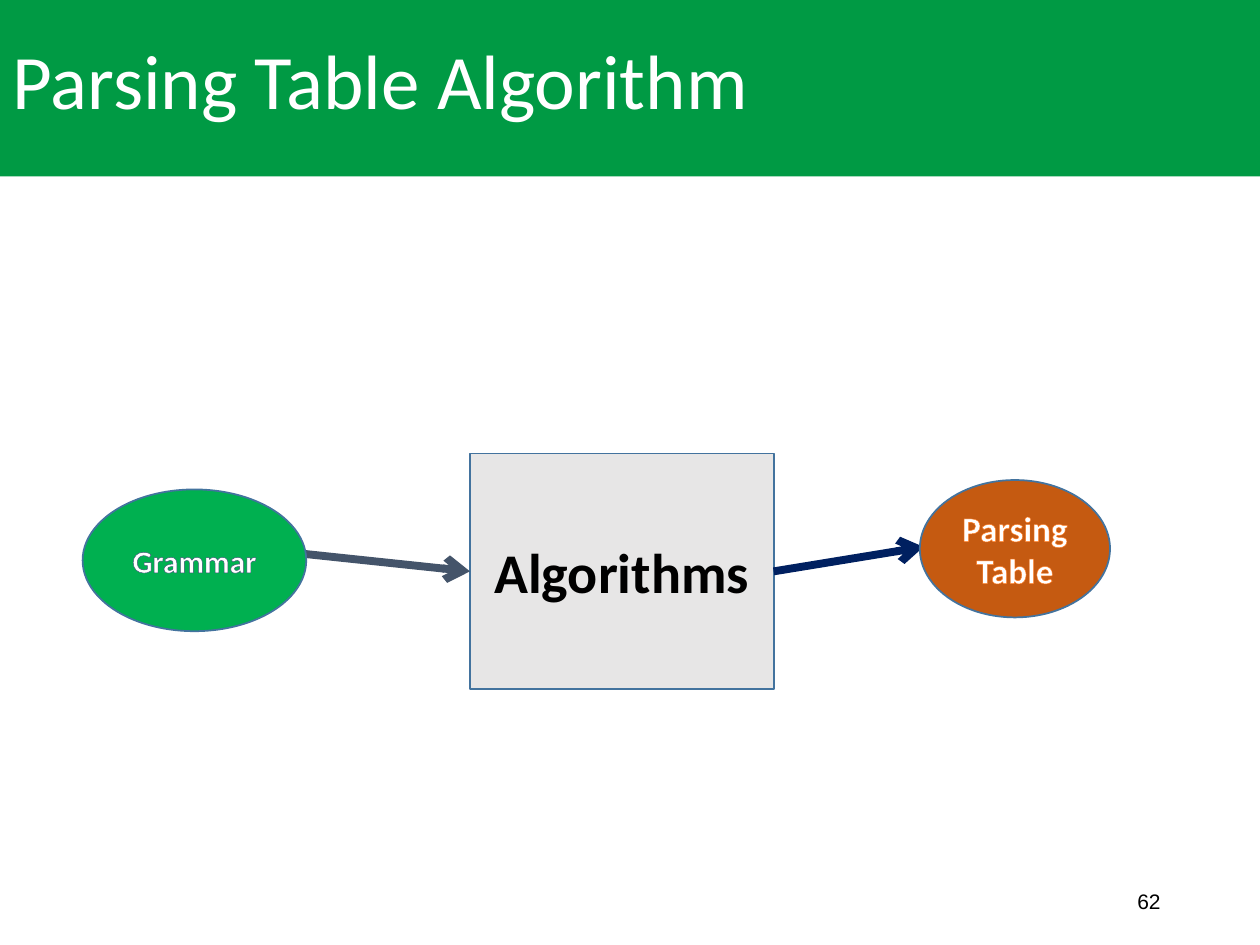
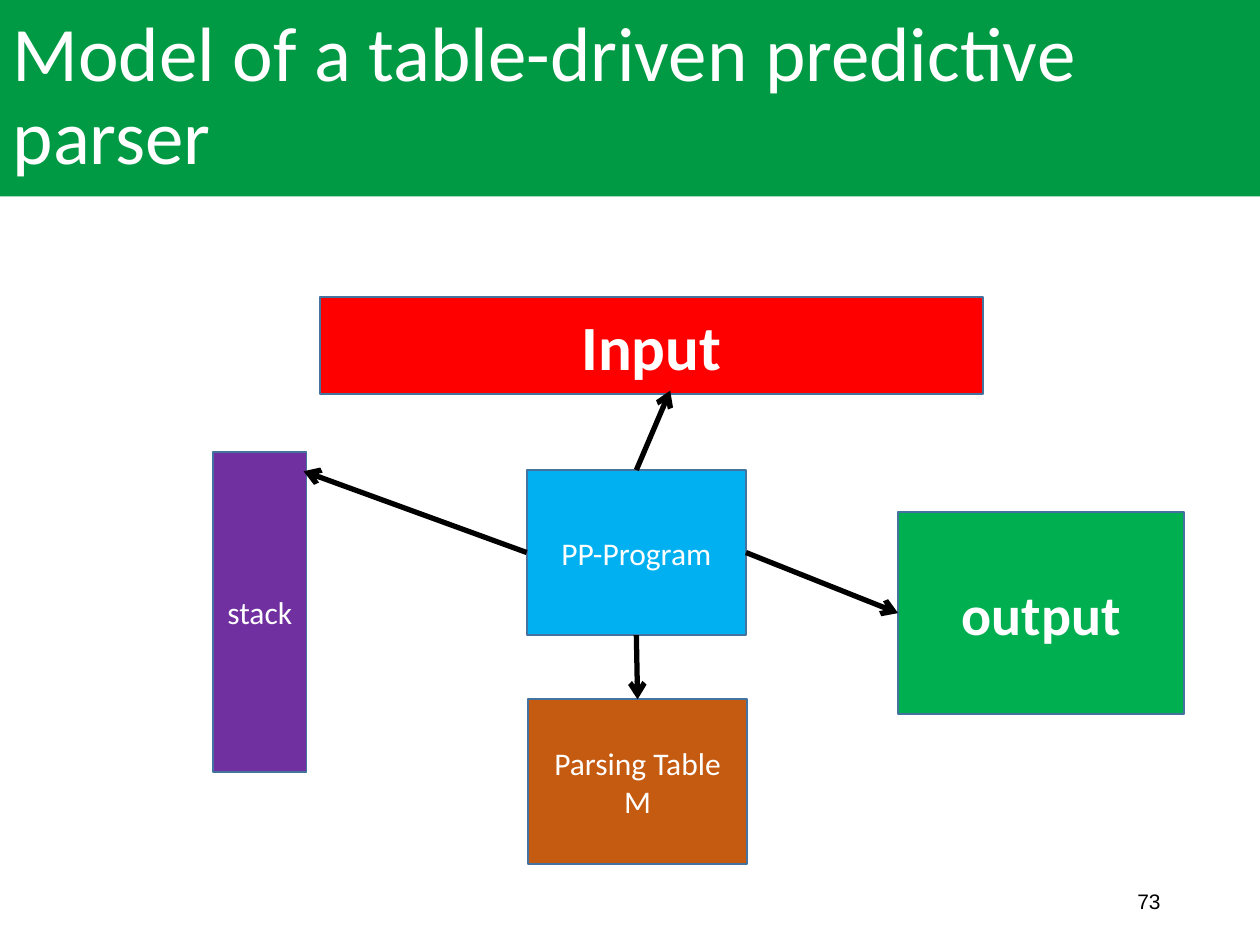
"""Build two slides on table-driven predictive parsing."""
from dataclasses import dataclass

from lxml.etree import SubElement
from pptx import Presentation
from pptx.dml.color import RGBColor as RGB
from pptx.enum.shapes import MSO_CONNECTOR as Conn, MSO_SHAPE as Shape
from pptx.enum.text import MSO_ANCHOR as Anchor, MSO_AUTO_SIZE as Auto, PP_ALIGN as Align
from pptx.oxml import parse_xml
from pptx.oxml.ns import nsdecls, qn
from pptx.util import Pt

TOP, LEFT, BOTTOM, RIGHT = range(4)


@dataclass(frozen=True)
class Theme:
    font: str = "Calibri"
    number_font: str = "Arial"
    band: str = "009A44"
    white: str = "FFFFFF"
    black: str = "000000"
    edge: str = "43739E"
    grey: str = "E7E6E6"
    green: str = "00B050"
    orange: str = "C55A11"
    blue: str = "00B0F0"
    red: str = "FF0000"
    purple: str = "7030A0"
    slate: str = "44546A"
    navy: str = "002060"
    glyph_edge: str = "3A5274"
    glyph_orange: str = "FF7A1F"
    title: int = 44
    big: int = 36
    large: int = 32
    medium: int = 20
    normal: int = 18
    small: int = 12
    edge_width: float = 1
    thick: float = 4.5
    thin: float = 3


class Deck:
    def __init__(self, theme):
        self.theme = theme
        self.prs = Presentation()
        self.prs.slide_width, self.prs.slide_height = Pt(720), Pt(540)
        self.s = None

    def slide(self, title, number, top, height):
        t = self.theme
        self.s = self.prs.slides.add_slide(self.prs.slide_layouts[5])
        sp = self.s.shapes.title
        places = dict(left=0, top=top, width=720, height=height)
        for name, value in places.items():
            setattr(sp, name, Pt(value))
        self.fill(sp, t.band)
        p = self.label(sp, title, t.title, t.white, align=Align.LEFT)
        p.line_spacing = 0.9
        box = self.s.shapes.add_textbox(Pt(508.3), Pt(500.4), Pt(162), Pt(28.8))
        self.label(box, number, t.small, t.black, align=Align.RIGHT, font=t.number_font)

    def fill(self, sp, color):
        sp.fill.solid()
        sp.fill.fore_color.rgb = RGB.from_string(color)

    def label(self, sp, text, size, color, bold=False, align=Align.CENTER, font=None, outline=None):
        tf = sp.text_frame
        frame = dict(word_wrap=True, auto_size=Auto.NONE, vertical_anchor=Anchor.MIDDLE)
        for name, value in frame.items():
            setattr(tf, name, value)
        p = tf.paragraphs[0]
        p.alignment = align
        r = p.add_run()
        r.text = text
        style = dict(name=font or self.theme.font, size=Pt(size), bold=bold)
        for name, value in style.items():
            setattr(r.font, name, value)
        r.font.color.rgb = RGB.from_string(color)
        if outline:
            edge, width = outline
            r._r.get_or_add_rPr().insert(0, parse_xml(
                f'<a:ln {nsdecls("a")} w="{int(Pt(width))}"><a:solidFill>'
                f'<a:srgbClr val="{edge}"/></a:solidFill></a:ln>'))
        return p

    def node(self, text, place, fill, size, kind=Shape.RECTANGLE, color=None, **style):
        sp = self.s.shapes.add_shape(kind, *map(Pt, place))
        sp.shadow.inherit = False
        self.fill(sp, fill)
        sp.line.color.rgb = RGB.from_string(self.theme.edge)
        sp.line.width = Pt(self.theme.edge_width)
        self.label(sp, text, size, color or self.theme.white, **style)
        return sp

    def arrow(self, start, end, color, width):
        joined = [not isinstance(e[0], (int, float)) for e in (start, end)]
        points = [(0, 0) if j else e for j, e in zip(joined, (start, end))]
        c = self.s.shapes.add_connector(Conn.STRAIGHT, *(Pt(v) for xy in points for v in xy))
        if joined[0]:
            c.begin_connect(*start)
        if joined[1]:
            c.end_connect(*end)
        c.line.color.rgb = RGB.from_string(color)
        c.line.width = Pt(width)
        props = c._element.spPr
        SubElement(props.find(qn("a:ln")), qn("a:tailEnd"), type="arrow")
        SubElement(props, qn("a:effectLst"))


def algorithm_slide(deck):
    t = deck.theme
    deck.slide("Parsing Table Algorithm", "62", -3.6, 104.4)
    dark = (t.glyph_edge, 1)
    box = deck.node("Algorithms", (268.6, 259.2, 173.5, 134.6), t.grey, t.large,
                    color=t.black, bold=True, outline=dark)
    deck.arrow((169.9, 316.1), (box, LEFT), t.slate, t.thick)
    deck.arrow((box, RIGHT), (527.8, 312.5), t.navy, t.thick)
    deck.node("Grammar", (47.2, 279.7, 127.8, 81), t.green, t.normal,
              kind=Shape.OVAL, bold=True, outline=dark)
    deck.node("Parsing Table", (525.6, 274.3, 108.7, 78.5), t.orange, t.medium,
              kind=Shape.OVAL, bold=True, outline=(t.glyph_orange, 1.42))


def model_slide(deck):
    t = deck.theme
    deck.slide("Model of a table-driven predictive parser", "73", 0, 112.3)
    program = deck.node("PP-Program", (301, 268.6, 125.3, 94.3), t.blue, t.normal)
    table = deck.node("Parsing Table M", (301.7, 399.6, 125.3, 94.3), t.orange, t.normal)
    deck.node("Input", (182.9, 169.9, 378.7, 55.4), t.red, t.big, bold=True)
    deck.node("stack", (121.7, 258.3, 53.5, 182.9), t.purple, t.normal)
    output = deck.node("output", (513.2, 292.5, 163.6, 115.7), t.green, t.large, bold=True)
    targets = {TOP: (383, 223.2), LEFT: (173.5, 269.3), BOTTOM: (table, TOP), RIGHT: (output, LEFT)}
    for side, target in targets.items():
        deck.arrow((program, side), target, t.black, t.thin)


def main():
    deck = Deck(Theme())
    algorithm_slide(deck)
    model_slide(deck)
    deck.prs.save("out.pptx")


if __name__ == "__main__":
    main()
